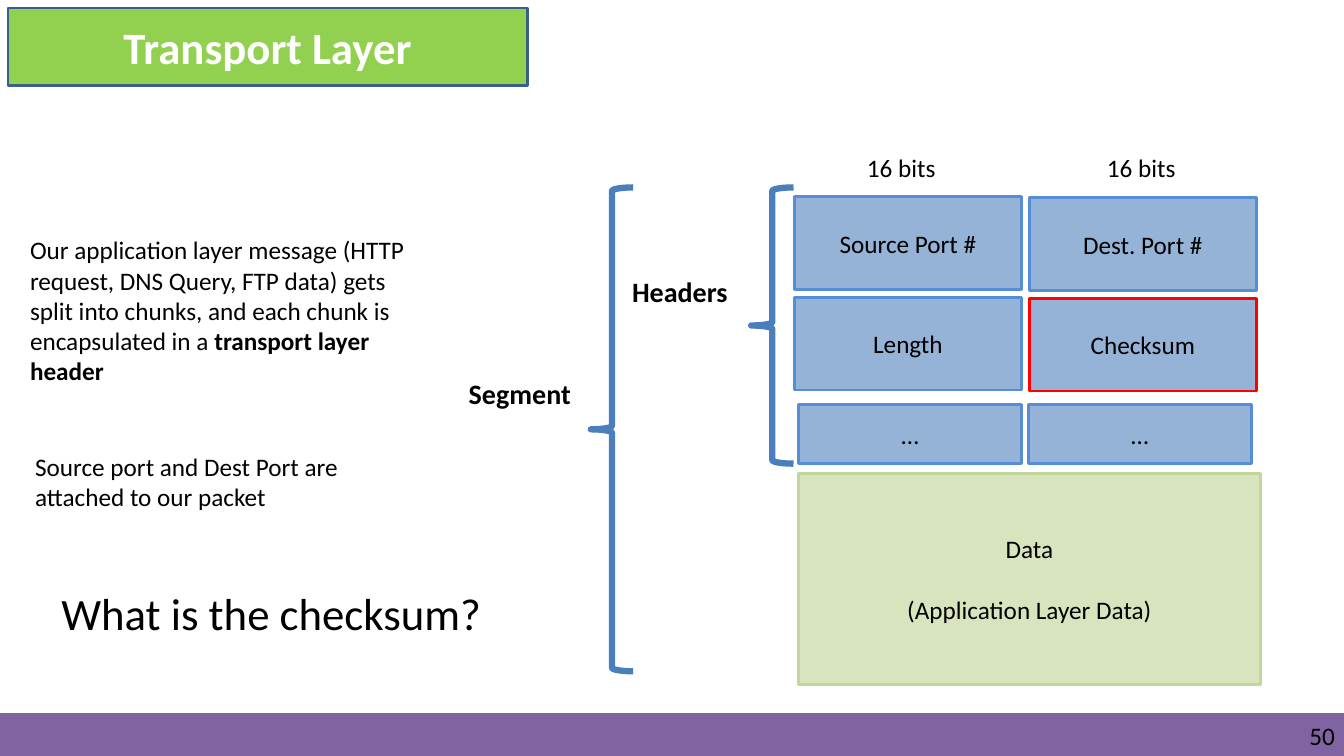
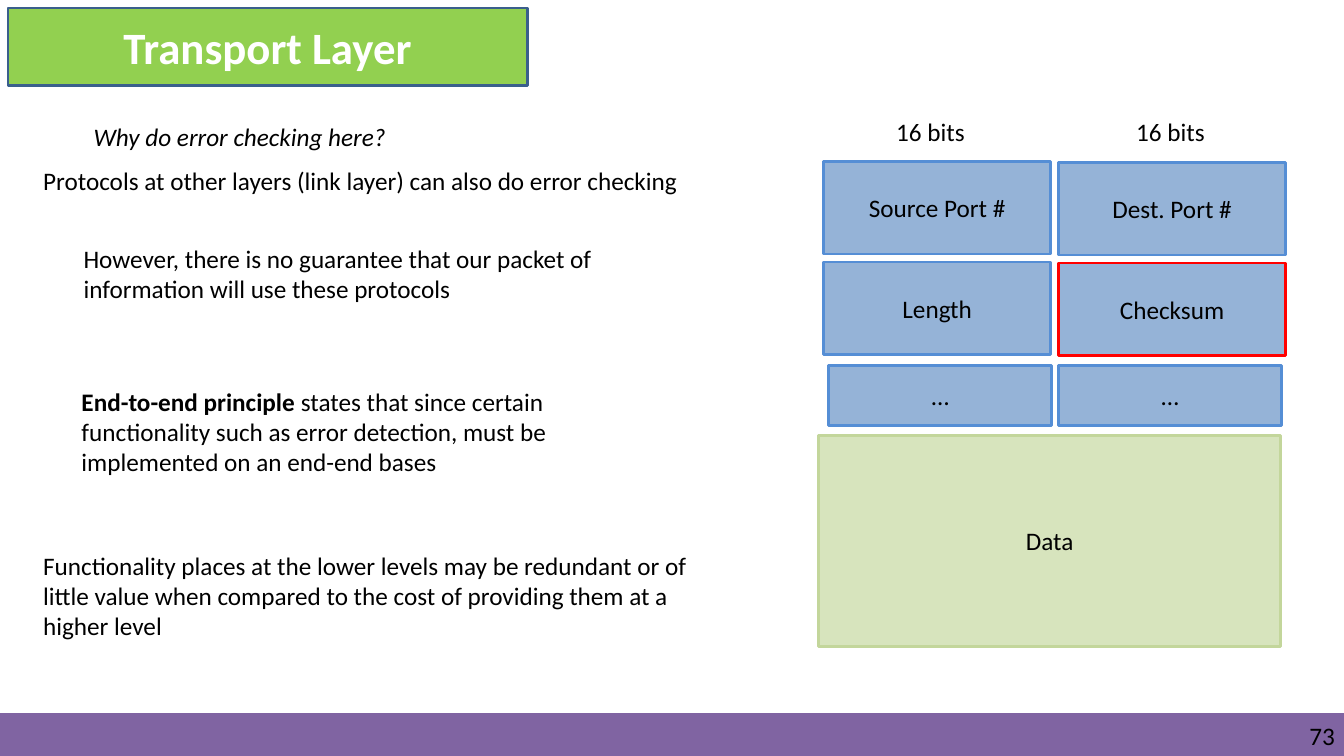
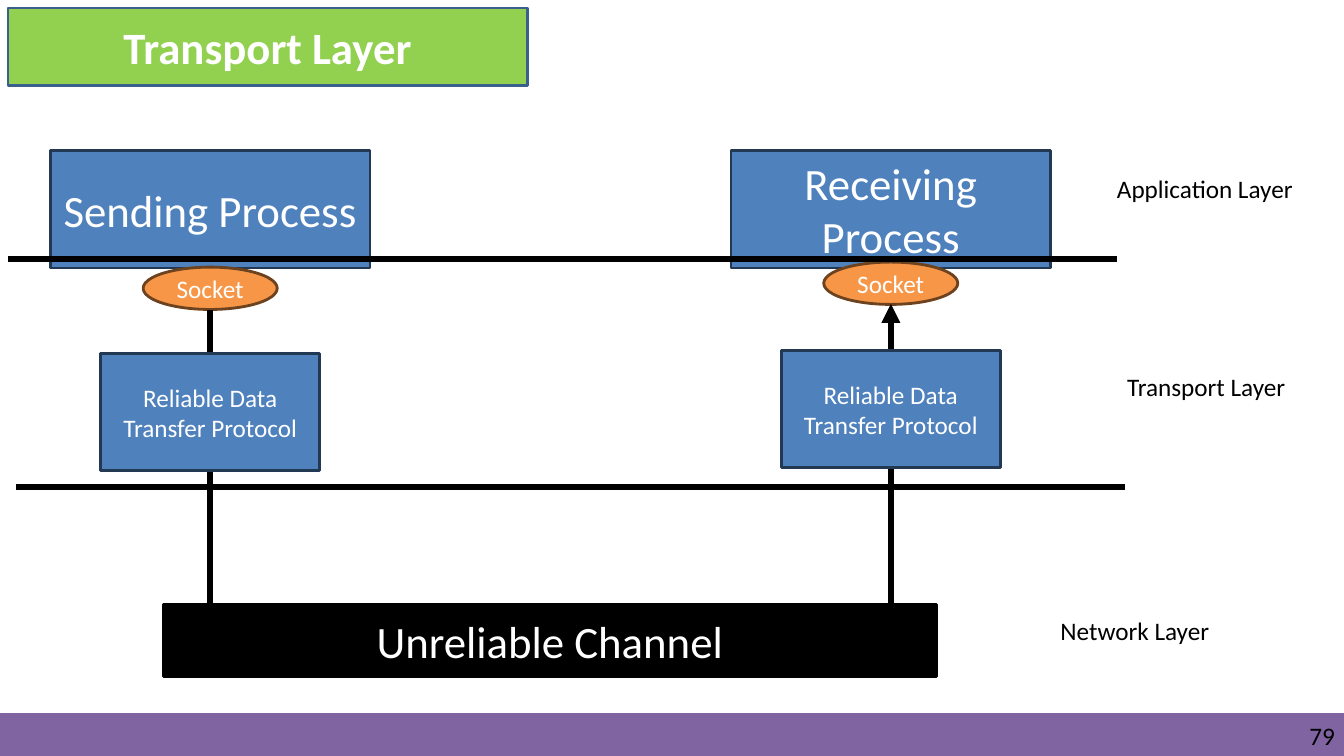
from lxml import etree
from pptx import Presentation
from pptx.dml.color import RGBColor
from pptx.enum.shapes import MSO_CONNECTOR as Link, MSO_SHAPE as Preset
from pptx.enum.text import MSO_ANCHOR as Anchor, PP_ALIGN as Align
from pptx.oxml.ns import qn
from pptx.util import Inches, Pt

BLACK = RGBColor(0x00, 0x00, 0x00)
WHITE = RGBColor(0xFF, 0xFF, 0xFF)
RED = RGBColor(0xFF, 0x00, 0x00)
PURPLE = RGBColor(0x80, 0x64, 0xA2)
GREEN = RGBColor(0x92, 0xD0, 0x50)
TITLE_EDGE = RGBColor(0x3A, 0x5F, 0x8C)
FIELD_BLUE = RGBColor(0x95, 0xB3, 0xD7)
FIELD_EDGE = RGBColor(0x55, 0x8E, 0xD5)
DATA_GREEN = RGBColor(0xD7, 0xE4, 0xBD)
DATA_EDGE = RGBColor(0xC3, 0xD6, 0x9B)
BRACE_BLUE = RGBColor(0x4B, 0x7E, 0xBC)
PROCESS_BLUE = RGBColor(0x4F, 0x81, 0xBD)
PROCESS_EDGE = RGBColor(0x23, 0x39, 0x53)
ORANGE = RGBColor(0xF7, 0x96, 0x46)
SOCKET_EDGE = RGBColor(0x6C, 0x42, 0x1F)

BODY = {"size": Pt(18)}
BOLD = {"size": Pt(20), "bold": True}
ITALIC = {"size": Pt(18), "italic": True}
LARGE = {"size": Pt(32)}
TITLE = {"size": Pt(32), "bold": True}

FIELDS = [
    [("Source Port #", FIELD_EDGE), ("Dest. Port #", FIELD_EDGE)],
    [("Length", FIELD_EDGE), ("Checksum", RED)],
]

SEGMENT_SLIDES = [
    {
        "number": "50",
        "fields_at": (7.88, 1.95),
        "rest_at": (7.92, 4.01),
        "data_at": (7.92, 4.7),
        "data": ["Data", "(Application Layer Data)"],
        "braces": [(7.45, 1.86, 0.42, 2.74), (5.86, 1.86, 0.42, 4.8)],
        "notes": [
            ((6.17, 2.67, 1.51, 0.44), [("Headers", BOLD)]),
            ((4.55, 3.69, 1.59, 0.44), [("Segment", BOLD)]),
            ((0.2, 2.28, 4.16, 1.62), [
                ("Our application layer message (HTTP request, DNS Query, FTP data) gets "
                 "split into chunks, and each chunk is encapsulated in a ", BODY),
                ("transport layer header", BODY | {"bold": True}),
            ]),
            ((0.25, 4.43, 3.58, 0.71),
             [("Source port and Dest Port are attached to our packet", BODY)]),
            ((0.51, 5.76, 4.84, 0.64), [("What is the checksum?", LARGE)]),
        ],
    },
    {
        "number": "73",
        "fields_at": (8.17, 1.6),
        "rest_at": (8.22, 3.63),
        "data_at": (8.12, 4.32),
        "data": ["Data"],
        "braces": [],
        "notes": [
            ((0.83, 1.15, 3.44, 0.4), [("Why do error checking here?", ITALIC)]),
            ((0.33, 1.59, 7.19, 0.4),
             [("Protocols at other layers (link layer) can also do error checking", BODY)]),
            ((0.73, 2.36, 5.92, 0.71),
             [("However, there is no guarantee that our packet of information will use "
               "these protocols", BODY)]),
            ((0.71, 3.78, 4.92, 1.31), [
                ("End-to-end principle ", BODY | {"bold": True}),
                ("states that since certain functionality such as error detection, must be "
                 "implemented on an end-end bases", BODY),
            ]),
            ((0.33, 5.41, 7, 1.01),
             [("Functionality places at the lower levels may be redundant or of little value "
               "when compared to the cost of providing them at a higher level", BODY)]),
        ],
    },
]

CHANNEL_NUMBER = "79"
ENDPOINTS = [
    {"process": "Sending Process", "left": 0.5, "socket_top": 2.65, "protocol_top": 3.51},
    {"process": "Receiving Process", "left": 7.25, "socket_top": 2.6, "protocol_top": 3.48},
]
LAYER_BORDERS = [(0.08, 2.57), (0.16, 4.83)]
BORDER_LENGTH = 11
LAYERS = [
    ((10.98, 1.67, 2.14, 0.4), "Application Layer"),
    ((11.08, 3.63, 2.05, 0.4), "Transport Layer"),
    ((10.42, 6.06, 1.83, 0.4), "Network Layer"),
]


def inches(lengths):
    """Turn plain numbers into lengths."""
    return [Inches(length) for length in lengths]


def write(paragraph, runs, color):
    """Add formatted runs to a paragraph."""
    for text, formats in runs:
        run = paragraph.add_run()
        run.text = text
        for key, value in ({"name": "Calibri"} | formats).items():
            setattr(run.font, key, value)
        run.font.color.rgb = color


def add_box(slide, place, fill, edge, lines=(), formats=BODY, color=BLACK,
            preset=Preset.RECTANGLE, weight=2):
    """Draw a preset shape with centred lines of text."""
    box = slide.shapes.add_shape(preset, *inches(place))
    box.shadow.inherit = False
    if fill is None:
        box.fill.background()
    else:
        box.fill.solid()
        box.fill.fore_color.rgb = fill
    box.line.color.rgb = edge
    box.line.width = Pt(weight)
    frame = box.text_frame
    frame.vertical_anchor = Anchor.MIDDLE
    for index, line in enumerate(lines):
        paragraph = frame.add_paragraph() if index else frame.paragraphs[0]
        paragraph.alignment = Align.CENTER
        if index:
            paragraph.space_before = Pt(22)
        write(paragraph, [(line, formats)], color)
    return box


def add_note(slide, place, runs):
    """Add a wrapping text box."""
    frame = slide.shapes.add_textbox(*inches(place)).text_frame
    frame.word_wrap = True
    write(frame.paragraphs[0], runs, BLACK)
    return frame


def add_line(slide, kind, ends):
    """Draw a thick black connector without shadow."""
    line = slide.shapes.add_connector(kind, *inches(ends))
    line.line.color.rgb = BLACK
    line.line.width = Pt(4.5)
    etree.SubElement(line._element.spPr, qn("a:effectLst"))
    return line


def start_slide(deck, number):
    """Add a slide with band, page number and title."""
    slide = deck.slides.add_slide(deck.slide_layouts[6])
    add_box(slide, (0, 7.08, 13.33, 0.42), PURPLE, PURPLE, weight=1)
    page = add_note(slide, (10.17, 7.15, 3.07, 0.3), [(number, BODY)])
    for side in ("left", "top", "right", "bottom"):
        setattr(page, f"margin_{side}", 0)
    page.paragraphs[0].alignment = Align.RIGHT
    add_box(slide, (0.08, 0.08, 5.15, 0.77), GREEN, TITLE_EDGE, ["Transport Layer"], TITLE, WHITE)
    return slide


def build_segment(deck, content):
    """Draw the layout of a segment beside its notes."""
    slide = start_slide(deck, content["number"])
    left, top = content["fields_at"]
    rest_left, rest_top = content["rest_at"]
    for row, fields in enumerate(FIELDS):
        for column, (name, edge) in enumerate(fields):
            place = (left + 2.33 * column, top + row + 0.01 * column, 2.25, 0.92)
            add_box(slide, place, FIELD_BLUE, edge, [name])
    for column in range(2):
        add_note(slide, (left + 0.62 + 2.38 * column, top - 0.49, 0.95, 0.4), [("16 bits", BODY)])
        add_box(slide, (rest_left + 2.28 * column, rest_top, 2.21, 0.59),
                FIELD_BLUE, FIELD_EDGE, ["…"])
    add_box(slide, (*content["data_at"], 4.58, 2.09), DATA_GREEN, DATA_EDGE, content["data"])
    for place in content["braces"]:
        add_box(slide, place, None, BRACE_BLUE, preset=Preset.LEFT_BRACE, weight=4.5)
    for place, runs in content["notes"]:
        add_note(slide, place, runs)


def add_route(slide):
    """Draw the elbow arrow that runs from socket to socket."""
    route = add_line(slide, Link.ELBOW, (5.49, 6.42, 5.43, -0.33))
    properties = route._element.spPr
    properties.find(qn("a:xfrm")).set("rot", "5400000")
    geometry = properties.find(qn("a:prstGeom"))
    adjustments = geometry.find(qn("a:avLst"))
    if adjustments is None:
        adjustments = etree.SubElement(geometry, qn("a:avLst"))
    etree.SubElement(adjustments, qn("a:gd"), name="adj1", fmla="val -6000000")
    etree.SubElement(properties.find(qn("a:ln")), qn("a:tailEnd"), type="triangle")


def build_channel(deck):
    """Draw two processes joined through an unreliable channel."""
    slide = start_slide(deck, CHANNEL_NUMBER)
    for end in ENDPOINTS:
        add_box(slide, (end["left"], 1.49, 3.17, 1.17), PROCESS_BLUE, PROCESS_EDGE,
                [end["process"]], LARGE, WHITE)
        add_box(slide, (end["left"] + 0.92, end["socket_top"], 1.33, 0.42), ORANGE, SOCKET_EDGE,
                ["Socket"], color=WHITE, preset=Preset.OVAL)
    add_route(slide)
    add_box(slide, (1.62, 6, 7.67, 0.71), BLACK, BLACK, ["Unreliable Channel"], LARGE, WHITE)
    for end in ENDPOINTS:
        add_box(slide, (end["left"] + 0.5, end["protocol_top"], 2.17, 1.16),
                PROCESS_BLUE, PROCESS_EDGE, ["Reliable Data Transfer Protocol"], color=WHITE)
    for left, top in LAYER_BORDERS:
        add_line(slide, Link.STRAIGHT, (left, top, left + BORDER_LENGTH, top))
    for place, layer in LAYERS:
        add_note(slide, place, [(layer, BODY)])


def main():
    """Build and save the deck."""
    deck = Presentation()
    deck.slide_width, deck.slide_height = inches((13.33, 7.5))
    for content in SEGMENT_SLIDES:
        build_segment(deck, content)
    build_channel(deck)
    deck.save("out.pptx")


if __name__ == "__main__":
    main()
